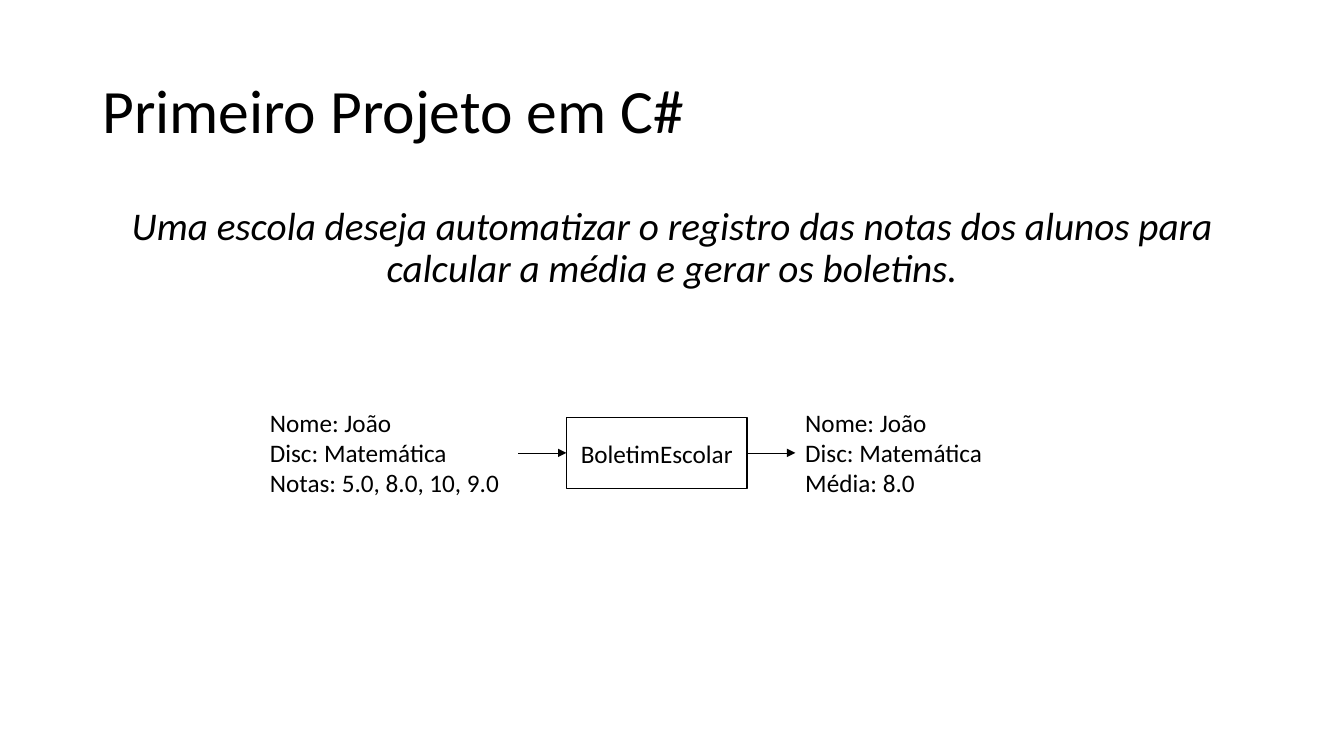
from pptx import Presentation
from pptx.dml.color import RGBColor
from pptx.enum.shapes import MSO_CONNECTOR as Connector, MSO_SHAPE as Shape
from pptx.enum.text import MSO_ANCHOR as Anchor, PP_ALIGN as Align
from pptx.oxml.ns import qn
from pptx.util import Pt
from lxml.etree import SubElement

BLACK = RGBColor(0, 0, 0)
WHITE = RGBColor(255, 255, 255)


def write(frame, text, font="Calibri", size=18, color=BLACK, italic=None,
          align=Align.LEFT, anchor=Anchor.TOP, spacing=None, before=None):
    frame.word_wrap = True
    frame.vertical_anchor = anchor
    frame.text = text
    for paragraph in frame.paragraphs:
        paragraph.alignment = align
        paragraph.line_spacing = spacing
        paragraph.space_before = before
        paragraph.font.name = font
        paragraph.font.size = Pt(size)
        paragraph.font.color.rgb = color
        paragraph.font.italic = italic


class Sketch:
    """Draws text, boxes and arrows on one slide in a shared style."""

    def __init__(self, slide, ink=BLACK, paper=WHITE):
        self.shapes = slide.shapes
        self.ink = ink
        self.paper = paper

    def text(self, left, top, width, height, content, **style):
        area = self.shapes.add_textbox(Pt(left), Pt(top), Pt(width), Pt(height))
        write(area.text_frame, content, color=self.ink, **style)

    def box(self, left, top, width, height, content):
        box = self.shapes.add_shape(Shape.RECTANGLE, Pt(left), Pt(top), Pt(width), Pt(height))
        box.shadow.inherit = False
        box.fill.solid()
        box.fill.fore_color.rgb = self.paper
        box.line.color.rgb = self.ink
        box.line.width = Pt(1)
        write(box.text_frame, content, color=self.ink, align=Align.CENTER, anchor=Anchor.MIDDLE)

    def arrow(self, start, end, y):
        arrow = self.shapes.add_connector(Connector.STRAIGHT, Pt(start), Pt(y), Pt(end), Pt(y))
        arrow.line.color.rgb = self.ink
        arrow.line.width = Pt(0.5)
        properties = arrow.element.spPr
        SubElement(properties.find(qn("a:ln")), qn("a:tailEnd"), type="triangle")
        SubElement(properties, qn("a:effectLst"))


deck = Presentation()
deck.slide_width, deck.slide_height = Pt(960), Pt(540)
sketch = Sketch(deck.slides.add_slide(deck.slide_layouts[6]))

MARGIN, CONTENT_WIDTH = 66, 828
sketch.text(MARGIN, 28.75, CONTENT_WIDTH, 104.4, "Primeiro Projeto em C#",
            size=44, anchor=Anchor.MIDDLE, spacing=0.9)
sketch.text(MARGIN, 144, CONTENT_WIDTH, 98.6,
            "Uma escola deseja automatizar o registro das notas dos alunos "
            "para calcular a média e gerar os boletins.",
            size=28, italic=True, align=Align.CENTER, spacing=0.9, before=Pt(10))

FLOW_Y, GAP = 323.5, 34.5
PROCESS_LEFT, PROCESS_WIDTH, PROCESS_HEIGHT = 404.6, 129, 51
INPUT_WIDTH, OUTPUT_WIDTH, DATA_HEIGHT = 184.4, 142.6, 72.7
process_right = PROCESS_LEFT + PROCESS_WIDTH
input_right = PROCESS_LEFT - GAP
output_left = process_right + GAP
data_top = FLOW_Y - DATA_HEIGHT / 2
student = "Nome: João\nDisc: Matemática\n"

sketch.box(PROCESS_LEFT, FLOW_Y - PROCESS_HEIGHT / 2, PROCESS_WIDTH, PROCESS_HEIGHT,
           "BoletimEscolar")
sketch.text(input_right - INPUT_WIDTH, data_top, INPUT_WIDTH, DATA_HEIGHT,
            student + "Notas: 5.0, 8.0, 10, 9.0")
sketch.arrow(input_right, PROCESS_LEFT, FLOW_Y)
sketch.text(output_left, data_top, OUTPUT_WIDTH, DATA_HEIGHT, student + "Média: 8.0")
sketch.arrow(process_right, output_left, FLOW_Y)

deck.save("out.pptx")
